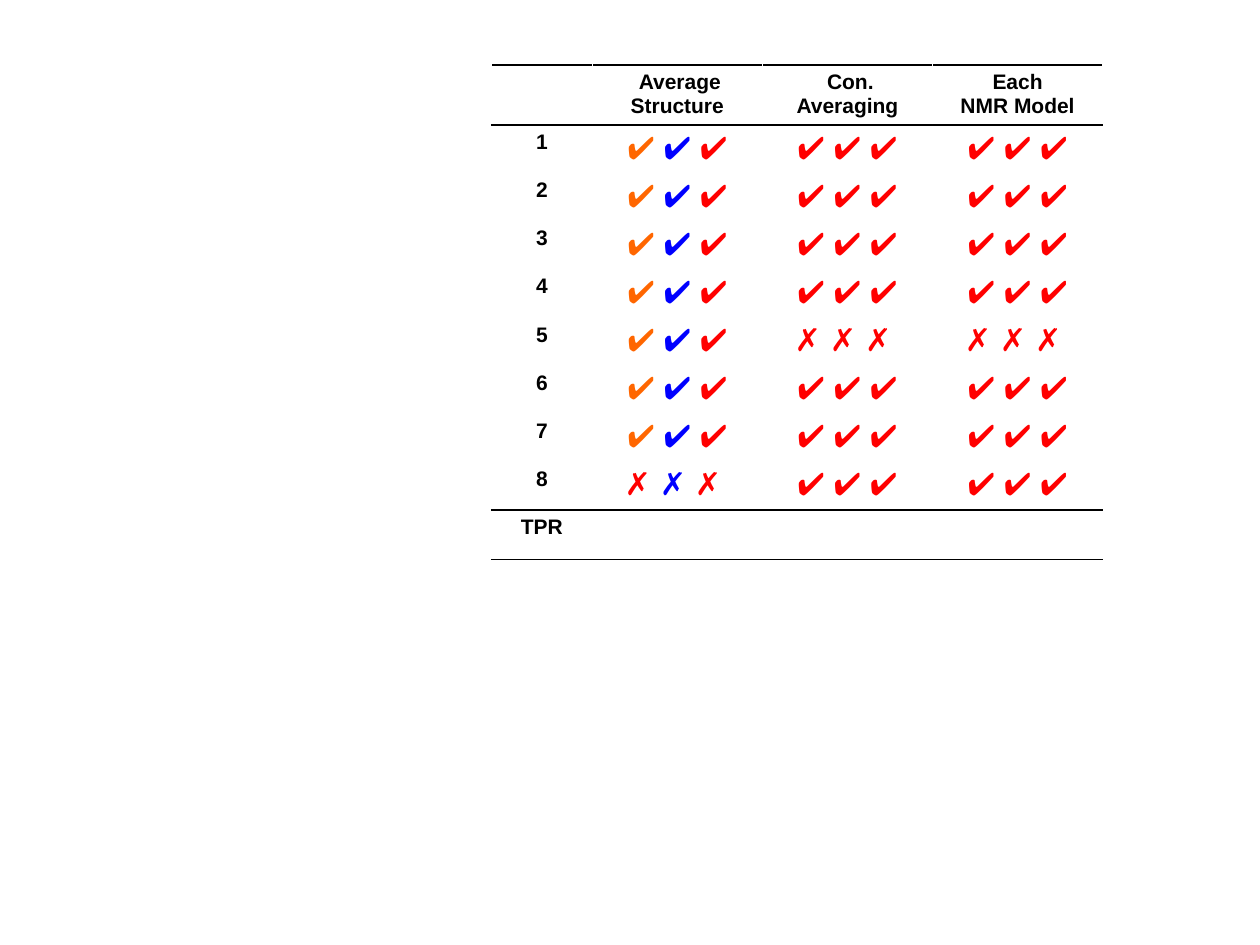
"""Build a slide with a table of marks for three ways of averaging NMR models."""
import dataclasses

import lxml.etree
import pptx
import pptx.dml.color
import pptx.enum.text
import pptx.oxml.ns
import pptx.util


@dataclasses.dataclass(frozen=True)
class Theme:
    font: str = "Arial"
    label_size: int = 12
    mark_size: int = 18
    ink: str = "000000"
    paper: str = "FFFFFF"
    orange: str = "FF6600"
    blue: str = "0000FF"
    red: str = "FF0000"


THEME = Theme()
HEADERS = ["", " Average\nStructure", " Con. Averaging", "Each\nNMR Model"]
LABELS = ["1", "2", "3", "4", "5", "6", "7", "8", "TPR"]
CHECKS = [("✔ ✔ ✔", THEME.red)]
CROSSES = [("✗ ✗ ✗ ", THEME.red)]
MIXED_CHECKS = [("✔ ", THEME.orange), ("✔ ", THEME.blue), ("✔", THEME.red)]
MIXED_CROSSES = [("✗ ", THEME.red), ("✗", THEME.blue), (" ✗ ", THEME.red)]
USUAL_MARKS = [MIXED_CHECKS, CHECKS, CHECKS]
SPECIAL_MARKS = {
    "5": [MIXED_CHECKS, CROSSES, CROSSES],
    "8": [MIXED_CROSSES, CHECKS, CHECKS],
    "TPR": [[], [], []],
}
RULED_EDGES = {0, 1, len(LABELS), len(LABELS) + 1}

LEFT, TOP = 9.91, 1.31
COLUMN_WIDTHS = [2.03, 3.43, 3.43, 3.43]
ROW_HEIGHTS = [1.21] + [0.97] * len(LABELS)
CELL_MARGIN = 0.11


def format_run(span, size, color, bold):
    span.font.name = THEME.font
    span.font.size = pptx.util.Pt(size)
    span.font.bold = bold
    span.font.color.rgb = pptx.dml.color.RGBColor.from_string(color)


def write_label(cell, text):
    cell.text_frame.text = text
    for para in cell.text_frame.paragraphs:
        para.alignment = pptx.enum.text.PP_ALIGN.CENTER
        for span in para.runs:
            format_run(span, THEME.label_size, THEME.ink, True)


def write_marks(cell, marks):
    para = cell.text_frame.paragraphs[0]
    para.alignment = pptx.enum.text.PP_ALIGN.CENTER
    for text, color in marks:
        span = para.add_run()
        span.text = text
        format_run(span, THEME.mark_size, color, False)


def style_cell(cell, row):
    cell.margin_top = cell.margin_bottom = pptx.util.Cm(CELL_MARGIN)
    cell.fill.background()
    qn = pptx.oxml.ns.qn
    top, bottom = (
        THEME.ink if edge in RULED_EDGES else THEME.paper for edge in (row, row + 1)
    )
    sides = [("a:lnL", THEME.paper), ("a:lnR", THEME.paper), ("a:lnT", top), ("a:lnB", bottom)]
    properties = cell._tc.get_or_add_tcPr()
    for position, (tag, color) in enumerate(sides):
        line = lxml.etree.Element(qn(tag), w=str(pptx.util.Pt(1)))
        fill = lxml.etree.SubElement(line, qn("a:solidFill"))
        lxml.etree.SubElement(fill, qn("a:srgbClr"), val=color)
        properties.insert(position, line)


def add_marks_table(page):
    frame = page.shapes.add_table(
        len(ROW_HEIGHTS),
        len(COLUMN_WIDTHS),
        pptx.util.Cm(LEFT),
        pptx.util.Cm(TOP),
        pptx.util.Cm(sum(COLUMN_WIDTHS)),
        pptx.util.Cm(sum(ROW_HEIGHTS)),
    )
    table = frame.table
    table.first_row = table.horz_banding = False
    for column, width in zip(table.columns, COLUMN_WIDTHS):
        column.width = pptx.util.Cm(width)
    for index, height in enumerate(ROW_HEIGHTS):
        table.rows[index].height = pptx.util.Cm(height)
        for cell in table.rows[index].cells:
            style_cell(cell, index)
    for column, header in enumerate(HEADERS):
        write_label(table.cell(0, column), header)
    for row, label in enumerate(LABELS, start=1):
        write_label(table.cell(row, 0), label)
        for column, marks in enumerate(SPECIAL_MARKS.get(label, USUAL_MARKS), start=1):
            write_marks(table.cell(row, column), marks)


def main():
    deck = pptx.Presentation()
    deck.slide_width = pptx.util.Cm(25.4)
    deck.slide_height = pptx.util.Cm(19.05)
    page = deck.slides.add_slide(deck.slide_layouts[6])
    add_marks_table(page)
    deck.save("out.pptx")


if __name__ == "__main__":
    main()
